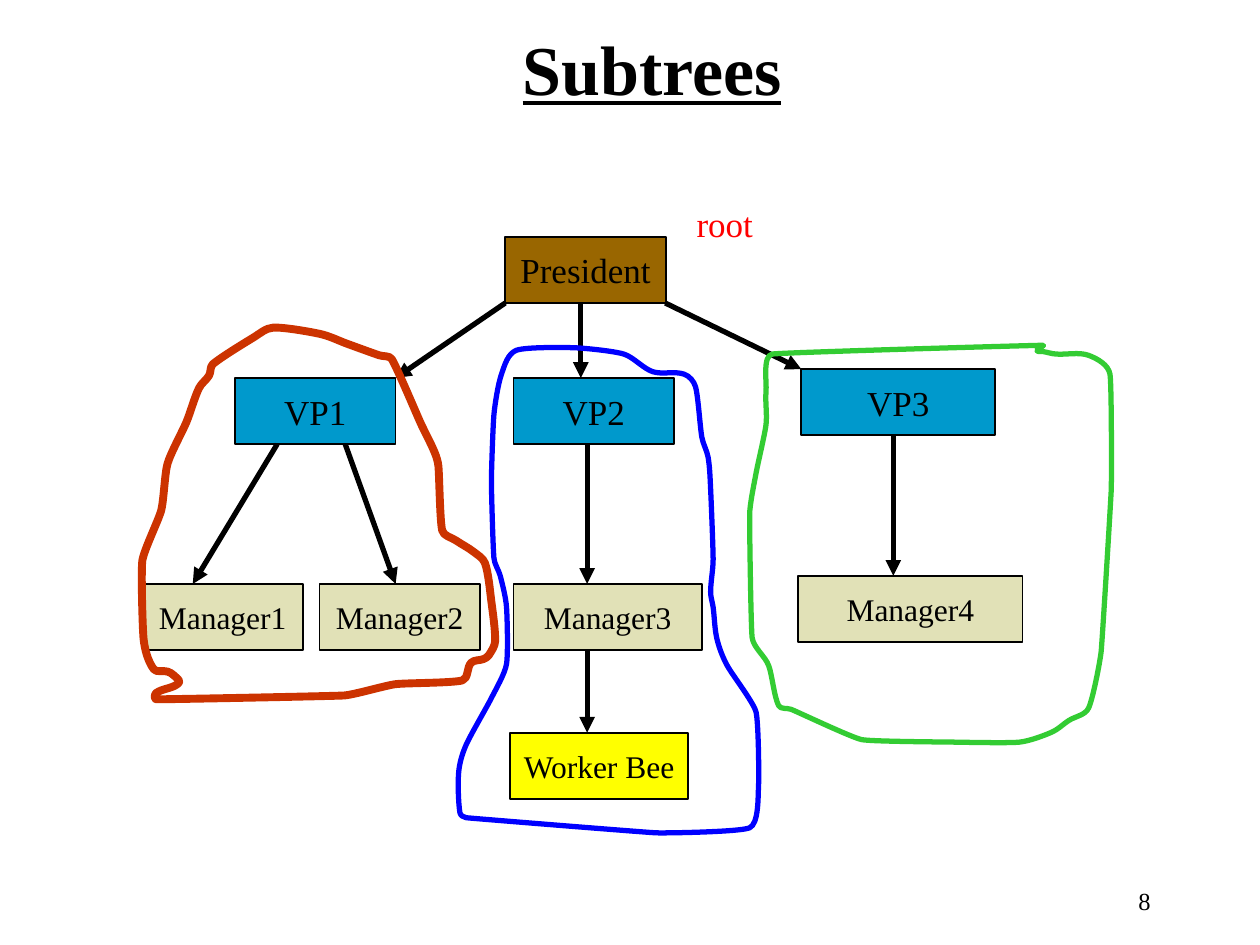
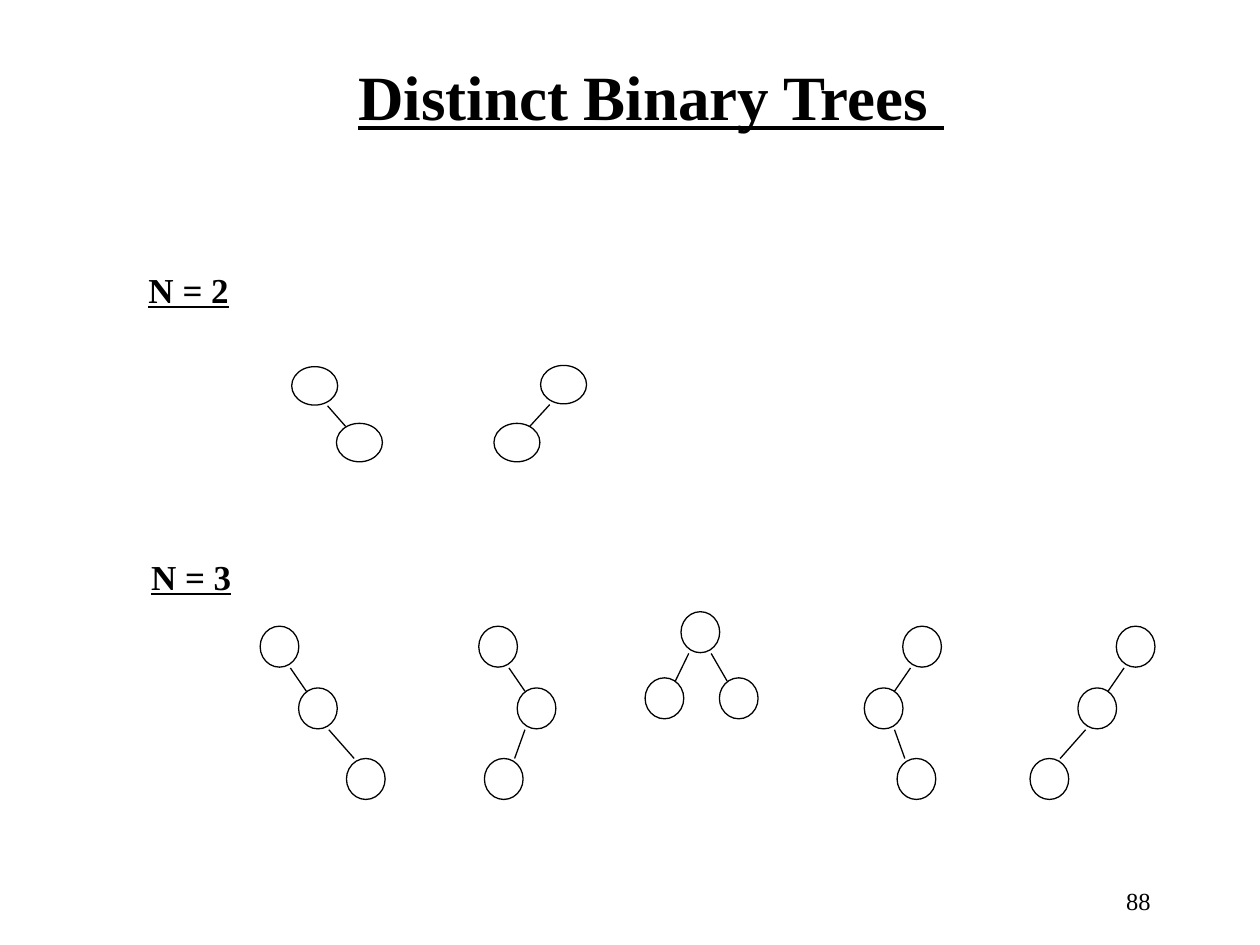
import dataclasses
import pptx
import pptx.util
import pptx.dml.color
import pptx.enum.shapes
import pptx.enum.text
import pptx.oxml
import pptx.oxml.ns

ALIGN = pptx.enum.text.PP_ALIGN
ANCHOR = pptx.enum.text.MSO_ANCHOR
FIT = pptx.enum.text.MSO_AUTO_SIZE
SHAPE = pptx.enum.shapes.MSO_SHAPE
STRAIGHT = pptx.enum.shapes.MSO_CONNECTOR.STRAIGHT

# The slide is a grid of square cells
COLS, ROWS = 100, 75
CELL = pptx.util.Inches(10) // COLS


@dataclasses.dataclass(frozen=True)
class Theme:
    face: str = "Times New Roman"
    ink: str = "000000"
    root: str = "FF0000"
    chief: str = "996600"
    vice: str = "0099CC"
    lead: str = "E1E1B7"
    bee: str = "FFFF00"
    red: str = "CC3300"
    blue: str = "0000FF"
    green: str = "33CC33"
    big: int = 40
    mid: int = 36
    body: int = 20
    small: int = 18
    foot: int = 14
    thin: float = 0.75
    edge: float = 1
    bold: float = 3
    thick: float = 4.5


LOOK = Theme()
HEAD = {"bold": True, "underline": True}


@dataclasses.dataclass(frozen=True)
class Box:
    x: float
    y: float
    w: float
    h: float

    def sub(self, x, y, w, h):
        """A box placed relative to this one."""
        return Box(self.x + x, self.y + y, w, h)

    def at(self, across, down):
        """The point at these shares of the box."""
        return self.x + across * self.w, self.y + down * self.h

    def emu(self):
        return [grid(v) for v in (self.x, self.y, self.w, self.h)]


def grid(cells):
    return round(cells * CELL)


def rgb(code):
    return pptx.dml.color.RGBColor.from_string(code)


def apply(item, form):
    for key, value in form.items():
        setattr(item, key, value)


def node(tag, extra=""):
    return pptx.oxml.parse_xml(f'<a:{tag} {pptx.oxml.ns.nsdecls("a")} {extra}/>')


# Shared parts

def write(shape, text, size, color=LOOK.ink, align=ALIGN.LEFT,
          font=None, frame=None):
    body = shape.text_frame
    apply(body, {"word_wrap": True, "auto_size": FIT.NONE, **(frame or {})})
    line = body.paragraphs[0]
    line.alignment = align
    run = line.add_run()
    run.text = text
    apply(run.font, {"name": LOOK.face, "size": pptx.util.Pt(size), **(font or {})})
    run.font.color.rgb = rgb(color)


def label(slide, box, text, size, **form):
    write(slide.shapes.add_textbox(*box.emu()), text, size, **form)


def paint(shape, fill, color, width):
    shape.shadow.inherit = False
    if fill:
        shape.fill.solid()
        shape.fill.fore_color.rgb = rgb(fill)
    else:
        shape.fill.background()
    shape.line.color.rgb = rgb(color)
    shape.line.width = pptx.util.Pt(width)


def link(slide, start, end, width, arrow=False):
    ends = [grid(v) for v in (*start, *end)]
    line = slide.shapes.add_connector(STRAIGHT, *ends)
    line.line.color.rgb = rgb(LOOK.ink)
    line.line.width = pptx.util.Pt(width)
    if arrow:
        line.line._get_or_add_ln().append(node("tailEnd", 'type="triangle"'))
    line._element.spPr.append(node("effectLst"))


def page(deck, title, size, box):
    slide = deck.slides.add_slide(deck.slide_layouts[5])
    head = slide.shapes.title
    apply(head, dict(zip(("left", "top", "width", "height"), box.emu())))
    write(head, title, size, align=ALIGN.CENTER, font=HEAD,
          frame={"vertical_anchor": ANCHOR.MIDDLE})
    return slide


def footer(slide, number):
    label(slide, Box(71.5, 69.8, 20.8, 5), number, LOOK.foot, align=ALIGN.RIGHT)


# Staff tree: name -> column, row, width, fill, type size

STAFF = {
    "President": (28.8, 0, 12.75, LOOK.chief, LOOK.body),
    "VP1": (7.35, 11.2, 12.75, LOOK.vice, LOOK.body),
    "VP2": (29.45, 11.2, 12.75, LOOK.vice, LOOK.body),
    "VP3": (52.3, 10.5, 15.4, LOOK.vice, LOOK.body),
    "Manager1": (0, 27.55, 12.75, LOOK.lead, LOOK.small),
    "Manager2": (14.05, 27.55, 12.75, LOOK.lead, LOOK.small),
    "Manager3": (29.45, 27.55, 14.95, LOOK.lead, LOOK.small),
    "Manager4": (52.05, 26.9, 17.8, LOOK.lead, LOOK.small),
    "Worker Bee": (29.2, 39.35, 14.1, LOOK.bee, LOOK.small),
}
# Parent, column at its bottom edge, child, column at its top edge
ARROWS = [
    ("President", 34.8, "VP2", 34.8), ("President", 28.8, "VP1", 20.1),
    ("President", 41.5, "VP3", 52.3), ("VP1", 10.7, "Manager1", 4),
    ("VP1", 16.1, "Manager2", 20.1), ("VP2", 35.3, "Manager3", 35.3),
    ("VP3", 59.6, "Manager4", 59.6), ("Manager3", 35.3, "Worker Bee", 35.3),
]


def staff(slide, box):
    spots = {}
    for name, (x, y, wide, fill, size) in STAFF.items():
        spots[name] = box.sub(x, y, wide, 5.25)
        card = slide.shapes.add_shape(SHAPE.RECTANGLE, *spots[name].emu())
        paint(card, fill, LOOK.ink, LOOK.edge)
        write(card, name, size, align=ALIGN.CENTER,
              frame={"word_wrap": False, "vertical_anchor": ANCHOR.MIDDLE})
    for upper, out, lower, into in ARROWS:
        start = box.x + out, spots[upper].at(0, 1)[1]
        end = box.x + into, spots[lower].y
        link(slide, start, end, LOOK.bold, arrow=True)


# Hand-drawn loops: knots in cells from the corner of their box

RED = [
    (1.1, 29.5), (16, 29.2), (20.1, 28.3), (25.4, 28), (26.1, 26.6),
    (27.1, 26.3), (27.5, 26), (28, 24.9), (27.7, 21.7), (27.2, 18.7),
    (26.3, 17.8), (24.9, 16.9), (23.8, 16.1), (23.5, 11), (23.2, 9.9),
    (22.1, 7.6), (19.8, 2.5), (18.8, 2.2), (16.3, 1.3), (14.1, 0.5),
    (10.4, 0), (8.8, 0.8), (5.6, 2.9), (5.3, 3.8), (4.5, 4.8), (3.5, 7.5),
    (2, 10.8), (1.5, 14.5), (0, 18.5), (0.1, 24.7), (0.9, 27.1),
    (2, 27.3), (2.5, 27.6), (2.9, 28.2), (1.1, 29),
]
BLUE = [
    (0.6, 37.5), (15.7, 38.7), (23.1, 38.3), (23.8, 35), (23.6, 29.1),
    (21.3, 25.4), (20.5, 23.3), (20.2, 20.8), (20, 19.6), (20.2, 17),
    (20, 11.4), (19.8, 8.9), (19.3, 7.3), (18.8, 3.3), (17.9, 2.3),
    (15.4, 2.1), (13.1, 0.7), (9.2, 0.2), (4.6, 0.4), (3.4, 2.3),
    (2.8, 5.5), (2.6, 10.8), (2.8, 16.9), (3.3, 18.3), (3.8, 20.8),
    (3.8, 25.3), (2.6, 28), (0.6, 31.7), (0, 33.9), (0.1, 37.1),
]
GREEN = [
    (23.3, 0), (1.8, 0.7), (1.3, 3.7), (1.3, 6.3), (0.5, 10.2), (0, 13.4),
    (0.2, 23.2), (1.5, 25.4), (2.3, 28.6), (3.3, 28.9), (8.9, 31.3),
    (16.4, 31.5), (21.4, 31.5), (24, 30.7), (25.3, 29.8),
    (26.9, 28.8), (27.9, 24.3), (28.7, 11.4), (28.6, 2.3), (26.9, 0.8),
    (24.3, 0.7), (23.3, 0.5), (22.8, 0.4),
]


def curves(knots):
    """Handles and end of each curve through a closed ring of knots."""
    dots = [complex(*knot) for knot in knots]
    nexts = dots[1:] + dots[:1]
    chords = [after - dots[i - 1] for i, after in enumerate(nexts)]
    leans = [chord / abs(chord) for chord in chords]
    for start, end, lean, turn in zip(dots, nexts, leans, leans[1:] + leans[:1]):
        reach = min(abs(end - start) / 3, 0.8)
        yield start + reach * lean, end - reach * turn, end


def loop(slide, box, knots, color, width):
    dots = [(grid(box.x + x), grid(box.y + y)) for x, y in knots]
    pen = slide.shapes.build_freeform(*dots[0])
    pen.add_line_segments(dots[1:] + dots[:1], close=True)
    ring = pen.convert_to_shape()
    paint(ring, None, color, width)
    line = ring.line._get_or_add_ln()
    line.set("cap", "rnd")
    line.append(node("round"))
    # Bend each straight segment
    name = pptx.oxml.ns.qn
    sides = list(ring._element.iter(name("a:lnTo")))
    for side, (one, two, _) in zip(sides, curves(knots)):
        side.tag = name("a:cubicBezTo")
        for spot, dot in enumerate((one, two)):
            x = grid(box.x + dot.real) - ring.left
            y = grid(box.y + dot.imag) - ring.top
            side.insert(spot, node("pt", f'x="{x}" y="{y}"'))


# Binary trees: each child is (parent index, columns over, rows down)

LEFT, RIGHT = -1, 1


def chain(first, second):
    """Three nodes in a line; a turn takes a shorter step."""
    step = 3.8 if first == second else 2.6
    return [(0, first * 3.05, 4.9), (1, second * step, 5.6)]


PAIRS = [(12.35, 8.3, [(0, 3.55, 4.5)]), (32.1, 8.2, [(0, -3.7, 4.6)])]
TRIOS = [
    (9.65, 6.1, chain(RIGHT, RIGHT)),
    (27, 6.1, chain(RIGHT, LEFT)),
    (43.05, 4.95, [(0, -2.85, 5.25), (0, 3.05, 5.25)]),
    (60.65, 6.1, chain(LEFT, RIGHT)),
    (77.6, 6.1, chain(LEFT, LEFT)),
]


def oval(slide, box):
    shape = slide.shapes.add_shape(SHAPE.OVAL, *box.emu())
    paint(shape, None, LOOK.ink, LOOK.thin)
    return box


def tree(slide, top, kids):
    nodes = [oval(slide, top)]
    for parent, over, down in kids:
        upper = nodes[parent]
        lower = oval(slide, upper.sub(over, down, top.w, top.h))
        nodes.append(lower)
        out, into = (0.78, 0.2) if over > 0 else (0.2, 0.78)
        link(slide, upper.at(out, 1.02), lower.at(into, 0 if parent else 0.08),
             LOOK.thin)


def forest(slide, box, text, wide, high, trees):
    for x, y, kids in trees:
        tree(slide, box.sub(x, y, wide, high), kids)
    label(slide, box.sub(0, 0, 16.9, 4.4), text, LOOK.body, font=HEAD)


# Slides

def subtrees(deck):
    slide = page(deck, "Subtrees", LOOK.big, Box(18.4, 1.2, 66.7, 8.3))
    staff(slide, Box(11.3, 18.8, 70, 44.5))
    loop(slide, Box(11.3, 26, 28.2, 29.5), RED, LOOK.red, LOOK.thick)
    loop(slide, Box(36.4, 27.4, 23.8, 38.9), BLUE, LOOK.blue, LOOK.bold)
    loop(slide, Box(59.5, 27.4, 28.8, 31.9), GREEN, LOOK.green, LOOK.bold)
    label(slide, Box(54.3, 15.55, 7.4, 4.4), "root", LOOK.body, color=LOOK.root)
    footer(slide, "8")


def binary(deck):
    slide = page(deck, "Distinct Binary Trees ", LOOK.mid, Box(21.8, 4.1, 59.8, 7))
    forest(slide, Box(10.8, 20.8, 40, 16), "N = 2", 3.65, 3.05, PAIRS)
    forest(slide, Box(11, 43.6, 81, 20), "N = 3", 3.07, 3.25, TRIOS)
    footer(slide, "88")


def main():
    deck = pptx.Presentation()
    deck.slide_width, deck.slide_height = grid(COLS), grid(ROWS)
    subtrees(deck)
    binary(deck)
    deck.save("out.pptx")


if __name__ == "__main__":
    main()
